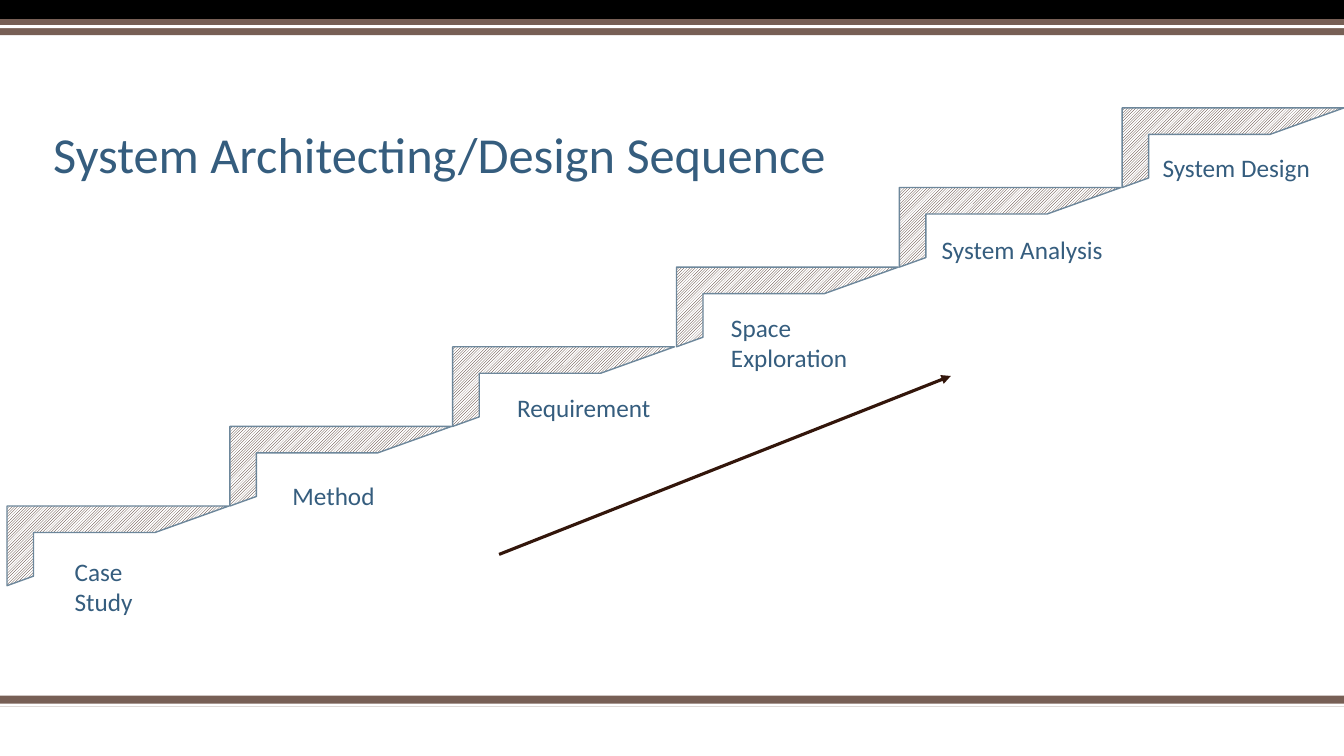
from dataclasses import dataclass

from lxml import etree
from pptx import Presentation
from pptx.dml.color import RGBColor
from pptx.enum.dml import MSO_PATTERN
from pptx.enum.shapes import MSO_CONNECTOR, MSO_SHAPE
from pptx.enum.text import MSO_ANCHOR
from pptx.oxml.ns import qn
from pptx.util import Pt

HATCH = MSO_PATTERN.LIGHT_UPWARD_DIAGONAL
STRAIGHT = MSO_CONNECTOR.STRAIGHT
RECT = MSO_SHAPE.RECTANGLE
FRAME = MSO_SHAPE.HALF_FRAME
MIDDLE = MSO_ANCHOR.MIDDLE
BOTTOM = MSO_ANCHOR.BOTTOM
SCALE = 9144
WIDE, HIGH = 1333, 750


@dataclass(frozen=True)
class Theme:
    font: str = "Calibri"
    head: int = 36
    body: int = 18
    ink: str = "355D7E"
    edge: str = "6D879B"
    dark: str = "33160B"
    band: str = "775F55"
    black: str = "000000"
    white: str = "FFFFFF"


THEME = Theme()

LABELS = [
    (["Case Study"], (37, 44, 118, 71), 30),
    (["Method"], (44, 49, 118, 40), 18),
    (["Requirement"], (44, 40, 171, 40), 20),
    (["Space", "Exploration"], (26, 39, 171, 71), 28),
    (["System Analysis"], (26, 41, 192, 40), 16),
    (["System Design"], (27, 39, 171, 40), 13),
]


def px(*sizes):
    return [round(size * SCALE) for size in sizes]


def color(code):
    return RGBColor.from_string(code)


def add_bar(slide, box, code):
    bar = slide.shapes.add_shape(RECT, *px(*box))
    bar.shadow.inherit = False
    bar.fill.solid()
    bar.fill.fore_color.rgb = color(code)
    bar.line.fill.background()


def add_bands(slide, box, bands):
    left, top, width, _ = box
    for down, height, code in bands:
        add_bar(slide, (left, top + down, width, height), code)


def add_text(slide, box, lines, size, anchor, inset=10, space=1.0):
    frame = slide.shapes.add_textbox(*px(*box)).text_frame
    frame.word_wrap = True
    frame.vertical_anchor = anchor
    frame.margin_left, frame.margin_right = px(inset, 0)
    frame.margin_top, frame.margin_bottom = px(5, 5)
    for index, line in enumerate(lines):
        para = frame.add_paragraph() if index else frame.paragraphs[0]
        para.line_spacing = space
        run = para.add_run()
        run.text = line
        run.font.name = THEME.font
        run.font.size = Pt(size)
        run.font.color.rgb = color(THEME.ink)


def add_step(slide, box, label):
    step = slide.shapes.add_shape(FRAME, *px(*box))
    step.shadow.inherit = False
    step.fill.patterned()
    step.fill.pattern = HATCH
    step.fill.fore_color.rgb = color(THEME.dark)
    step.fill.back_color.rgb = color(THEME.white)
    step.line.color.rgb = color(THEME.edge)
    step.line.width = Pt(1)
    lines, (right, down, width, height), inset = label
    place = (box[0] + right, box[1] + down, width, height)
    add_text(slide, place, lines, THEME.body, MIDDLE, inset)


def add_stairs(slide, box):
    left, top, width, height = box
    wide, high = 220, 79
    last = len(LABELS) - 1
    for index, label in enumerate(LABELS):
        across = left + round((width - wide) * index / last)
        down = top + round((height - high) * (last - index) / last)
        add_step(slide, (across, down, wide, high), label)


def add_arrow(slide, box):
    left, top, width, height = box
    ends = px(left, top + height, left + width, top)
    arrow = slide.shapes.add_connector(STRAIGHT, *ends)
    arrow.line.color.rgb = color(THEME.dark)
    arrow.line.width = Pt(2.25)
    tip = etree.SubElement(arrow.line._get_or_add_ln(), qn("a:tailEnd"))
    tip.set("type", "triangle")
    etree.SubElement(arrow._element.spPr, qn("a:effectLst"))


def main():
    deck = Presentation()
    deck.slide_width, deck.slide_height = px(WIDE, HIGH)
    slide = deck.slides.add_slide(deck.slide_layouts[6])
    add_bands(slide, (0, 690, WIDE, 11),
              [(0, 11, THEME.band), (8, 3, THEME.white)])
    add_bands(slide, (0, 0, WIDE, 35),
              [(0, 19, THEME.black), (19, 16, THEME.band),
               (25, 3, THEME.white)])
    add_stairs(slide, (7, 107, 1326, 474))
    add_text(slide, (43, 71, 1000, 117),
             ["System Architecting/Design Sequence"],
             THEME.head, BOTTOM, space=0.9)
    add_arrow(slide, (495, 373, 448, 177))
    deck.save("out.pptx")


if __name__ == "__main__":
    main()
